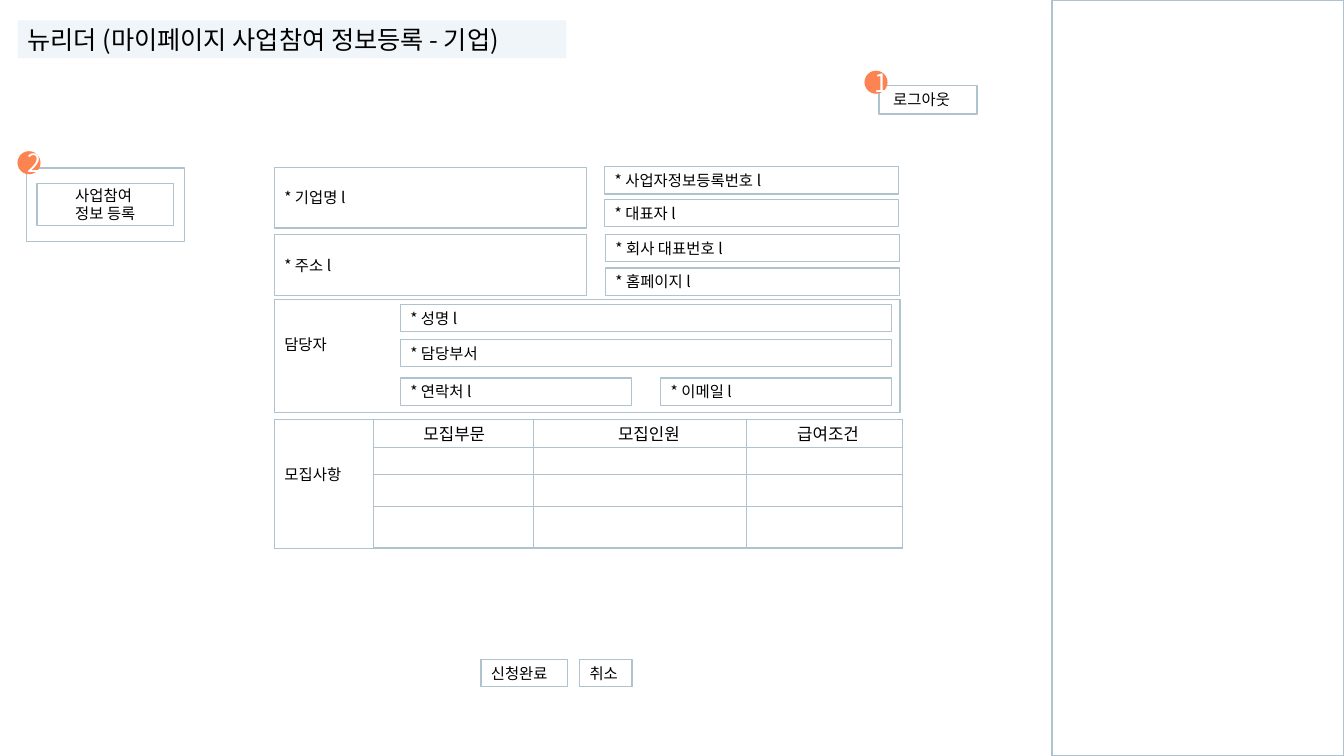
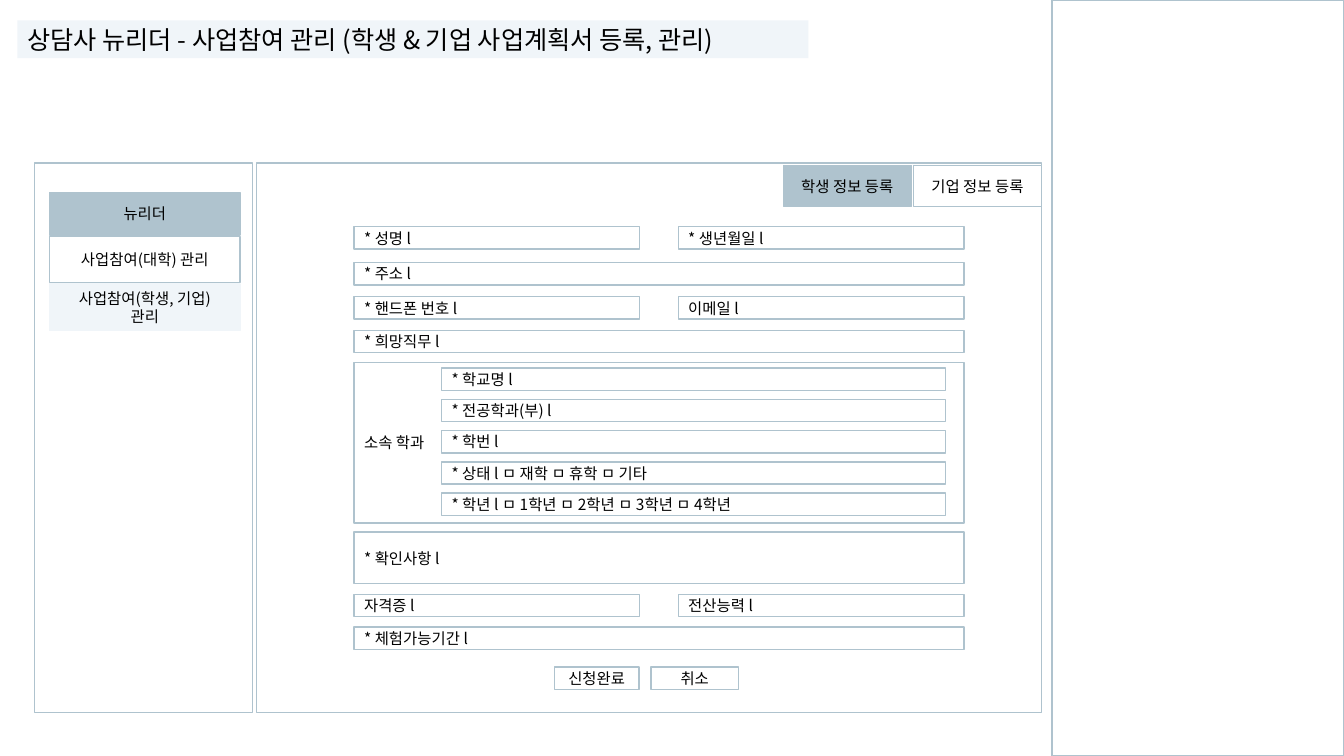
from lxml.etree import SubElement
from pptx import Presentation
from pptx.dml.color import RGBColor
from pptx.enum.shapes import MSO_SHAPE
from pptx.enum.text import MSO_ANCHOR, PP_ALIGN
from pptx.oxml.ns import qn
from pptx.util import Pt

BLACK = RGBColor(0x00, 0x00, 0x00)
WHITE = RGBColor(0xFF, 0xFF, 0xFF)
STEEL = RGBColor(0xAF, 0xC3, 0xCE)
PALE = RGBColor(0xF0, 0xF5, 0xF9)
CORAL = RGBColor(0xFC, 0x84, 0x53)
FONT = "Noto Sans CJK KR"

deck = Presentation()
deck.slide_width, deck.slide_height = Pt(960), Pt(540)


def write(frame, text, size=11, color=BLACK, align=PP_ALIGN.LEFT):
    for i, line in enumerate(text.split("\n")):
        para = frame.add_paragraph() if i else frame.paragraphs[0]
        para.alignment = align
        run = para.add_run()
        run.text = line
        run.font.name = FONT
        run.font.size = Pt(size)
        run.font.color.rgb = color
        SubElement(run.font._element, qn("a:ea"), typeface=FONT)


def box(page, area, text="", fill=None, line=STEEL, kind=MSO_SHAPE.RECTANGLE,
        foot=3.6, left=7.2, **style):
    shape = page.shapes.add_shape(kind, *[Pt(n) for n in area])
    shape.shadow.inherit = False
    if fill is None:
        shape.fill.background()
    else:
        shape.fill.solid()
        shape.fill.fore_color.rgb = fill
    if line is None:
        shape.line.fill.background()
    else:
        shape.line.color.rgb = line
        shape.line.width = Pt(1)
    frame = shape.text_frame
    frame.word_wrap = True
    frame.vertical_anchor = MSO_ANCHOR.MIDDLE
    frame.margin_bottom, frame.margin_left = Pt(foot), Pt(left)
    if text:
        write(frame, text, **style)


titles = [
    ("뉴리더 (마이페이지 사업참여 정보등록 - 기업)", 392),
    ("상담사 뉴리더 - 사업참여 관리 (학생 & 기업 사업계획서 등록, 관리)", 565),
]
pages = []
for title, width in titles:
    page = deck.slides.add_slide(deck.slide_layouts[6])
    box(page, (12.5, 14.5, width, 27), title, fill=PALE, line=None, size=18)
    box(page, (751.5, 0, 208.5, 540))
    pages.append(page)
firm, pupil = pages
MID = PP_ALIGN.CENTER

box(firm, (19, 120, 113, 52.5))
box(firm, (26.5, 131, 97.5, 30), "사업참여 \n정보 등록", align=MID)
box(firm, (628, 61, 70, 20.5), "로그아웃", left=10)
for x, y, mark in [(617.5, 50.5, "1"), (12.5, 108, "2")]:
    box(firm, (x, y, 16.5, 16.5), mark, fill=CORAL, line=None,
        kind=MSO_SHAPE.OVAL, size=18, color=WHITE, align=MID)

box(firm, (196, 214, 447, 80.5), "담당자", foot=19.5)
ROW = 19.5
fields = [
    (196, 119.5, 223, 43.5, "* 기업명 l"),
    (196, 167.5, 223, 43.5, "* 주소 l"),
    (432, 119, 210, ROW, "* 사업자정보등록번호 l"),
    (432, 142.5, 210, ROW, "* 대표자 l"),
    (432.5, 167.5, 210, ROW, "* 회사 대표번호 l"),
    (432.5, 191.5, 210, ROW, "* 홈페이지 l"),
    (286, 217.5, 351, ROW, "* 성명 l"),
    (286, 242.5, 351, ROW, "* 담당부서"),
    (286, 270, 165, ROW, "* 연락처 l"),
    (472, 270, 165, ROW, "* 이메일 l"),
    (343.5, 471, 62, ROW, "신청완료"),
    (414, 471, 37.5, ROW, "취소"),
]
for *area, text in fields:
    box(firm, area, text)

cols = [71, 114, 152.5, 111.5]
rows = [20, 19.5, 22.5, 15.5]
heads = [("모집사항", 7.2, 11), ("모집부문", 35.5, 12),
         ("모집인원", 60.5, 12), ("급여조건", 36, 12)]
frame = firm.shapes.add_table(4, 4, Pt(196), Pt(299.5), Pt(sum(cols)), Pt(sum(rows)))
grid = frame.table
grid.first_row = grid.horz_banding = False
for c, width in enumerate(cols):
    grid.columns[c].width = Pt(width)
for r, height in enumerate(rows):
    grid.rows[r].height = Pt(height)
    for c, (head, inset, size) in enumerate(heads):
        cell = grid.cell(r, c)
        cell.margin_top = cell.margin_bottom = cell.margin_right = 0
        cell.margin_left = Pt(inset)
        cell.vertical_anchor = MSO_ANCHOR.MIDDLE
        edges = [("L", c == 0), ("R", c == 3), ("T", r == 0), ("B", r == 3)]
        for side, outer in edges:
            edge = SubElement(cell._tc.get_or_add_tcPr(), qn("a:ln" + side),
                              w=str(Pt(1 if outer else 0.5)))
            paint = SubElement(edge, qn("a:solidFill"))
            SubElement(paint, qn("a:srgbClr"), val=str(STEEL))
        cell.fill.background()
        if r == 0:
            write(cell.text_frame, head, size=size)
        else:
            SubElement(cell.text_frame.paragraphs[0]._p, qn("a:endParaRPr"), sz="800")
grid.cell(0, 0).merge(grid.cell(3, 0))
grid.cell(0, 0).margin_bottom = Pt(14)

box(pupil, (24.5, 116.5, 156, 392.5))
box(pupil, (183, 116.5, 561, 392.5))
tabs = [
    (35.5, 137.5, 136, 30.5, "뉴리더", STEEL, STEEL),
    (35.5, 169, 136, 33, "사업참여(대학) 관리", None, STEEL),
    (35.5, 203, 136, 33, "사업참여(학생, 기업)\n관리", PALE, PALE),
    (652.5, 118, 91.5, 29.5, "기업 정보 등록", None, STEEL),
    (559.5, 118, 91.5, 29.5, "학생 정보 등록", STEEL, STEEL),
]
for *area, text, fill, line in tabs:
    box(pupil, area, text, fill=fill, line=line, align=MID)

LEFT, RIGHT, HALF, FULL, SLIM = 253, 484.5, 204, 435.5, 16
box(pupil, (LEFT, 259, FULL, 114.5), "소속 학과")
entries = [
    (LEFT, 162, HALF, SLIM, "* 성명 l"),
    (RIGHT, 162, HALF, SLIM, "* 생년월일 l"),
    (LEFT, 187.5, FULL, SLIM, "* 주소 l"),
    (LEFT, 212, HALF, SLIM, "* 핸드폰 번호 l"),
    (RIGHT, 212, HALF, SLIM, "이메일 l"),
    (LEFT, 236, FULL, SLIM, "* 희망직무 l"),
    (LEFT, 380, FULL, 37, "* 확인사항 l"),
    (LEFT, 424.5, HALF, SLIM, "자격증 l"),
    (RIGHT, 424.5, HALF, SLIM, "전산능력 l"),
    (LEFT, 448, FULL, SLIM, "* 체험가능기간 l"),
]
for *area, text in entries:
    box(pupil, area, text)

school = ["* 학교명 l", "* 전공학과(부) l", "* 학번 l",
          "* 상태 l ㅁ 재학 ㅁ 휴학 ㅁ 기타",
          "* 학년 l ㅁ 1학년 ㅁ 2학년 ㅁ 3학년 ㅁ 4학년"]
for i, text in enumerate(school):
    box(pupil, (315.5, 263 + 22.3 * i, 360, SLIM), text)

for x, width, text in [(396, 60.5, "신청완료"), (465, 62.5, "취소")]:
    box(pupil, (x, 476.5, width, SLIM), text, align=MID)

deck.save("out.pptx")
